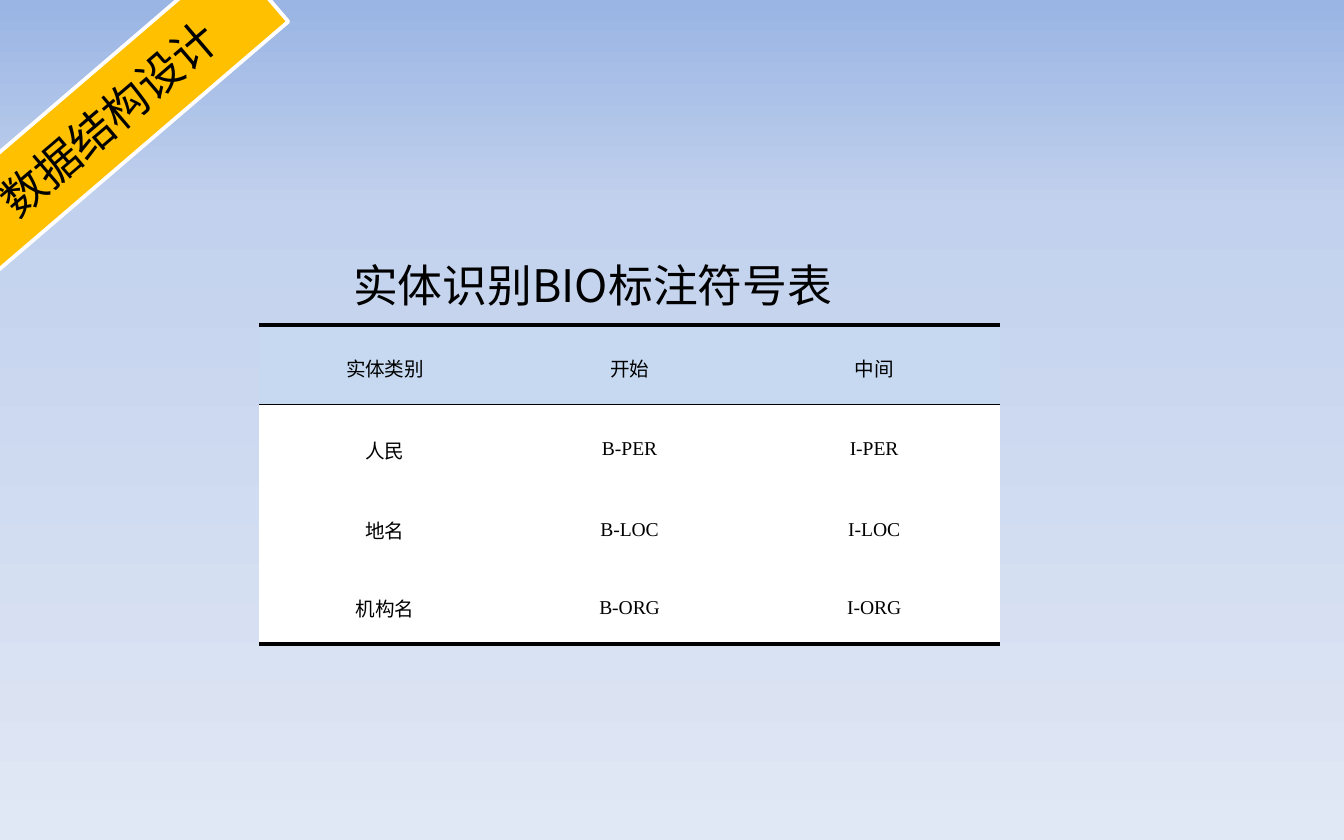
from pptx import Presentation
from pptx.dml.color import RGBColor
from pptx.enum.shapes import MSO_SHAPE
from pptx.enum.text import MSO_ANCHOR, PP_ALIGN
from pptx.oxml import parse_xml
from pptx.oxml.ns import nsdecls
from pptx.util import Inches, Pt

SANS = "Noto Sans CJK SC"
SERIF = "Times New Roman"
BLACK = "000000"
WHITE = "FFFFFF"


def color(value):
    return RGBColor.from_string(value)


def write(frame, text, size=24, font=SANS, fill=BLACK, spacing=1.0, margins=(0, 0)):
    """Put one centred paragraph in a text frame."""
    frame.word_wrap = True
    frame.margin_left = frame.margin_right = Inches(margins[0])
    frame.margin_top = frame.margin_bottom = Inches(margins[1])
    frame.vertical_anchor = MSO_ANCHOR.MIDDLE
    para = frame.paragraphs[0]
    para.alignment = PP_ALIGN.CENTER
    para.line_spacing = spacing
    span = para.add_run()
    span.text = text
    span.font.size = Pt(size)
    span.font.name = font
    span.font.color.rgb = color(fill)
    # East Asian typeface follows the Latin one
    span.font._element.get_or_add_latin().addnext(
        parse_xml(f'<a:ea {nsdecls("a")} typeface="{SANS}"/>'))


def paint_background(page, stops):
    """Vertical gradient from (percent, colour) stops."""
    fill = page.background.fill
    fill.gradient()
    marks = "".join(f'<a:gs pos="{percent * 1000}"><a:srgbClr val="{value}"/></a:gs>'
                    for percent, value in stops)
    gradient = page._element.find(".//" + "{http://schemas.openxmlformats.org/drawingml/2006/main}gradFill")
    gradient.getparent().replace(gradient, parse_xml(
        f'<a:gradFill {nsdecls("a")} rotWithShape="1"><a:gsLst>{marks}</a:gsLst>'
        '<a:lin ang="5400000" scaled="0"/></a:gradFill>'))


def place(shape, box):
    shape.left, shape.top, shape.width, shape.height = map(Inches, box)


def add_title(page, box, text):
    title = page.shapes.title
    place(title, box)
    write(title.text_frame, text)


def set_borders(cell, top=0, bottom=0):
    """Horizontal rules in points; a zero width means no line."""
    properties = cell._tc.get_or_add_tcPr()
    for side, width in (("L", 0), ("R", 0), ("T", top), ("B", bottom)):
        paint = f'<a:solidFill><a:srgbClr val="{BLACK}"/></a:solidFill>' if width else "<a:noFill/>"
        properties.append(parse_xml(
            f'<a:ln{side} {nsdecls("a")} w="{int(Pt(width))}">{paint}</a:ln{side}>'))


def add_tag_table(page, box, rows, widths, heights):
    left, top, width, height = map(Inches, box)
    table = page.shapes.add_table(len(rows), len(widths), left, top, width, height).table
    table.first_row = table.horz_banding = False
    for column, size in zip(table.columns, widths):
        column.width = Inches(size)
    for row, size in zip(table.rows, heights):
        row.height = Inches(size)

    # Heavy outer rules, a thin one under the header
    rules = [2.25, 1] + [0] * (len(rows) - 2) + [2.25]
    for r, texts in enumerate(rows):
        for c, text in enumerate(texts):
            cell = table.cell(r, c)
            set_borders(cell, top=rules[r], bottom=rules[r + 1])
            cell.fill.solid()
            cell.fill.fore_color.rgb = color(WHITE if r else "C6D9F1")
            write(cell.text_frame, text, size=10.5, font=SERIF, spacing=1.25)
            cell.margin_left = cell.margin_right = Inches(0.07)
            cell.margin_top = cell.margin_bottom = 0
            cell.vertical_anchor = MSO_ANCHOR.MIDDLE


def add_ribbon(page, box, text, rotation):
    ribbon = page.shapes.add_shape(MSO_SHAPE.RECTANGLE, *map(Inches, box))
    ribbon.rotation = rotation
    ribbon.shadow.inherit = False
    ribbon.fill.solid()
    ribbon.fill.fore_color.rgb = color("FFC000")
    ribbon.line.color.rgb = color(WHITE)
    ribbon.line.width = Pt(2)
    write(ribbon.text_frame, text, margins=(0.1, 0.05))


def main():
    deck = Presentation()
    deck.slide_width, deck.slide_height = Inches(10), Inches(6.25)
    page = deck.slides.add_slide(deck.slide_layouts[5])
    paint_background(page, [(0, "9AB5E4"), (25, "C2D1ED"), (100, "E1E8F5")])

    add_title(page, (2.4, 1.97, 4.02, 0.29), "实体识别BIO标注符号表")

    # Header, then one row per entity class with its B and I tags
    entities = [("人民", "PER"), ("地名", "LOC"), ("机构名", "ORG")]
    rows = [("实体类别", "开始", "中间")]
    rows += [(name, f"B-{tag}", f"I-{tag}") for name, tag in entities]
    add_tag_table(page, (1.93, 2.42, 5.52, 2.37), rows,
                  widths=[1.87, 1.77, 1.87], heights=[0.59, 0.62, 0.58, 0.58])

    add_ribbon(page, (-0.69, 0.55, 2.98, 0.66), "数据结构设计", rotation=319.4)
    deck.save("out.pptx")


if __name__ == "__main__":
    main()
